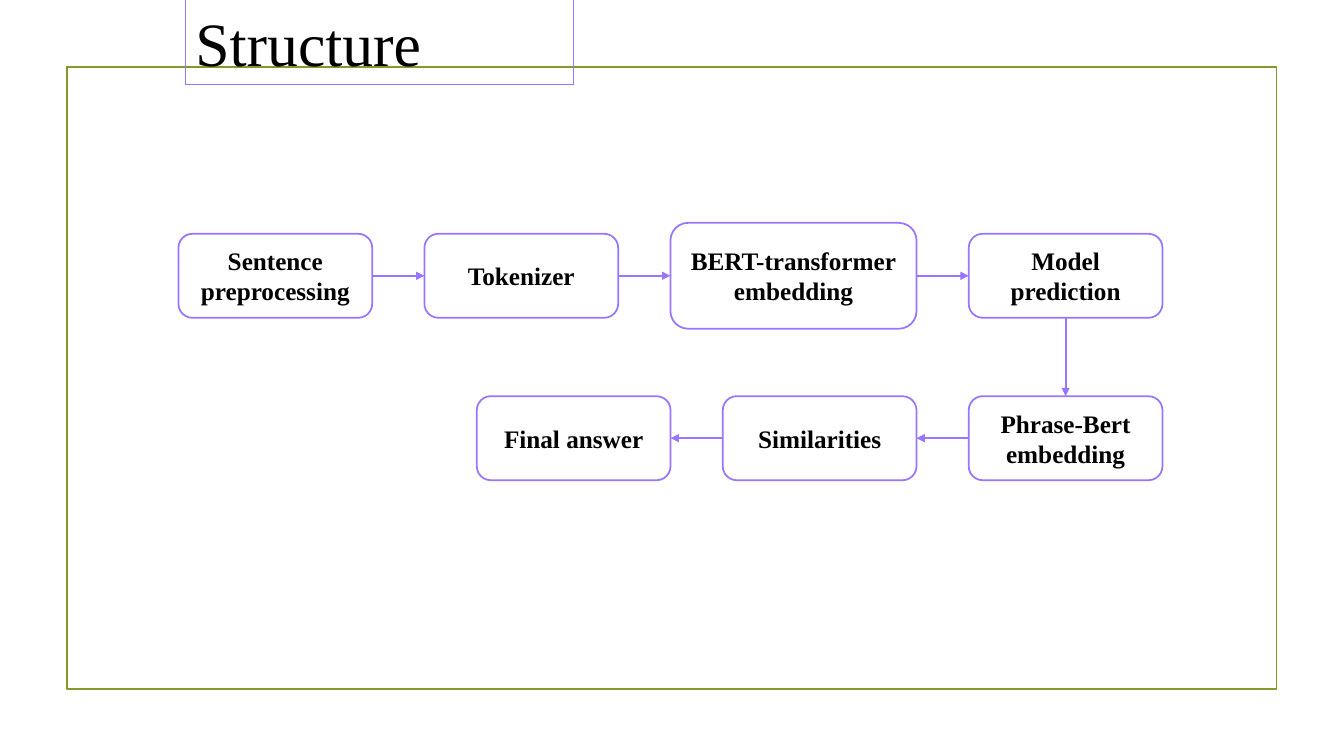
from lxml import etree
from pptx import Presentation
from pptx.dml.color import RGBColor
from pptx.enum.shapes import MSO_CONNECTOR, MSO_SHAPE
from pptx.enum.text import MSO_ANCHOR, MSO_AUTO_SIZE, PP_ALIGN
from pptx.oxml.ns import qn
from pptx.util import Pt

RECTANGLE, ROUNDED = MSO_SHAPE.RECTANGLE, MSO_SHAPE.ROUNDED_RECTANGLE
STRAIGHT = MSO_CONNECTOR.STRAIGHT
LEFT, CENTER = PP_ALIGN.LEFT, PP_ALIGN.CENTER
TOP, MIDDLE = MSO_ANCHOR.TOP, MSO_ANCHOR.MIDDLE
GROW = MSO_AUTO_SIZE.SHAPE_TO_FIT_TEXT

BLACK = RGBColor(0x00, 0x00, 0x00)
PURPLE = RGBColor(0x99, 0x76, 0xFF)
OLIVE = RGBColor(0x83, 0x99, 0x2A)

SIDE_TOP, SIDE_LEFT, SIDE_BOTTOM, SIDE_RIGHT = range(4)

STEP_WIDTH, STEP_HEIGHT, STEP_GAP = 138.4, 60, 37.3
ROW_LEFT = 127.5
FORWARD_MIDDLE, BACK_MIDDLE = 197, 313
# Text, width and height of each step, in reading order
FORWARD_STEPS = [
    ("Sentence preprocessing", STEP_WIDTH, STEP_HEIGHT),
    ("Tokenizer", STEP_WIDTH, STEP_HEIGHT),
    ("BERT-transformer\nembedding", 175.8, 75.6),
    ("Model\nprediction", STEP_WIDTH, STEP_HEIGHT),
]
BACK_STEPS = ["Phrase-Bert embedding", "Similarities", "Final answer"]


class Diagram:
    font_name = "Times New Roman"
    line_width = 1.25

    def __init__(self, page):
        self.page = page

    def outline(self, kind, left, top, width, height, color=PURPLE, line_width=line_width):
        box = self.page.shapes.add_shape(kind, Pt(left), Pt(top), Pt(width), Pt(height))
        box.shadow.inherit = False
        box.fill.background()
        box.line.color.rgb = color
        box.line.width = Pt(line_width)
        return box

    def put_text(self, box, text, size, bold, align, anchor):
        frame = box.text_frame
        frame.word_wrap = True
        frame.vertical_anchor = anchor
        frame.text = text
        font_format = {"name": self.font_name, "size": Pt(size), "bold": bold}
        for para in frame.paragraphs:
            para.alignment = align
            for span in para.runs:
                for name, value in font_format.items():
                    setattr(span.font, name, value)
                span.font.color.rgb = BLACK

    def title(self, text, left, top, width, height):
        box = self.outline(RECTANGLE, left, top, width, height, line_width=0.75)
        self.put_text(box, text, 44, False, LEFT, TOP)
        box.text_frame.auto_size = GROW

    def step(self, text, left, middle, width=STEP_WIDTH, height=STEP_HEIGHT):
        box = self.outline(ROUNDED, left, middle - height / 2, width, height)
        self.put_text(box, text, 18, True, CENTER, MIDDLE)
        return box

    def arrow(self, start, start_side, end, end_side):
        line = self.page.shapes.add_connector(STRAIGHT, 0, 0, 0, 0)
        line.begin_connect(start, start_side)
        line.end_connect(end, end_side)
        line.line.color.rgb = PURPLE
        line.line.width = Pt(self.line_width)
        properties = line.element.spPr
        etree.SubElement(properties.find(qn("a:ln")), qn("a:tailEnd"), type="triangle")
        etree.SubElement(properties, qn("a:effectLst"))


def main():
    deck = Presentation()
    deck.slide_width, deck.slide_height = Pt(960), Pt(540)
    diagram = Diagram(deck.slides.add_slide(deck.slide_layouts[6]))

    diagram.outline(RECTANGLE, 47.8, 48, 864, 444, OLIVE)
    diagram.title("Structure", 132.5, 0, 277.2, 60.5)

    forward = []
    left = ROW_LEFT
    for text, width, height in FORWARD_STEPS:
        forward.append(diagram.step(text, left, FORWARD_MIDDLE, width, height))
        left += width + STEP_GAP

    last_left = left - STEP_GAP - STEP_WIDTH
    back = [
        diagram.step(text, last_left - index * (STEP_WIDTH + STEP_GAP), BACK_MIDDLE)
        for index, text in enumerate(BACK_STEPS)
    ]

    for start, end in zip(forward, forward[1:]):
        diagram.arrow(start, SIDE_RIGHT, end, SIDE_LEFT)
    diagram.arrow(forward[-1], SIDE_BOTTOM, back[0], SIDE_TOP)
    for start, end in zip(back, back[1:]):
        diagram.arrow(start, SIDE_LEFT, end, SIDE_RIGHT)

    deck.save("out.pptx")


if __name__ == "__main__":
    main()
